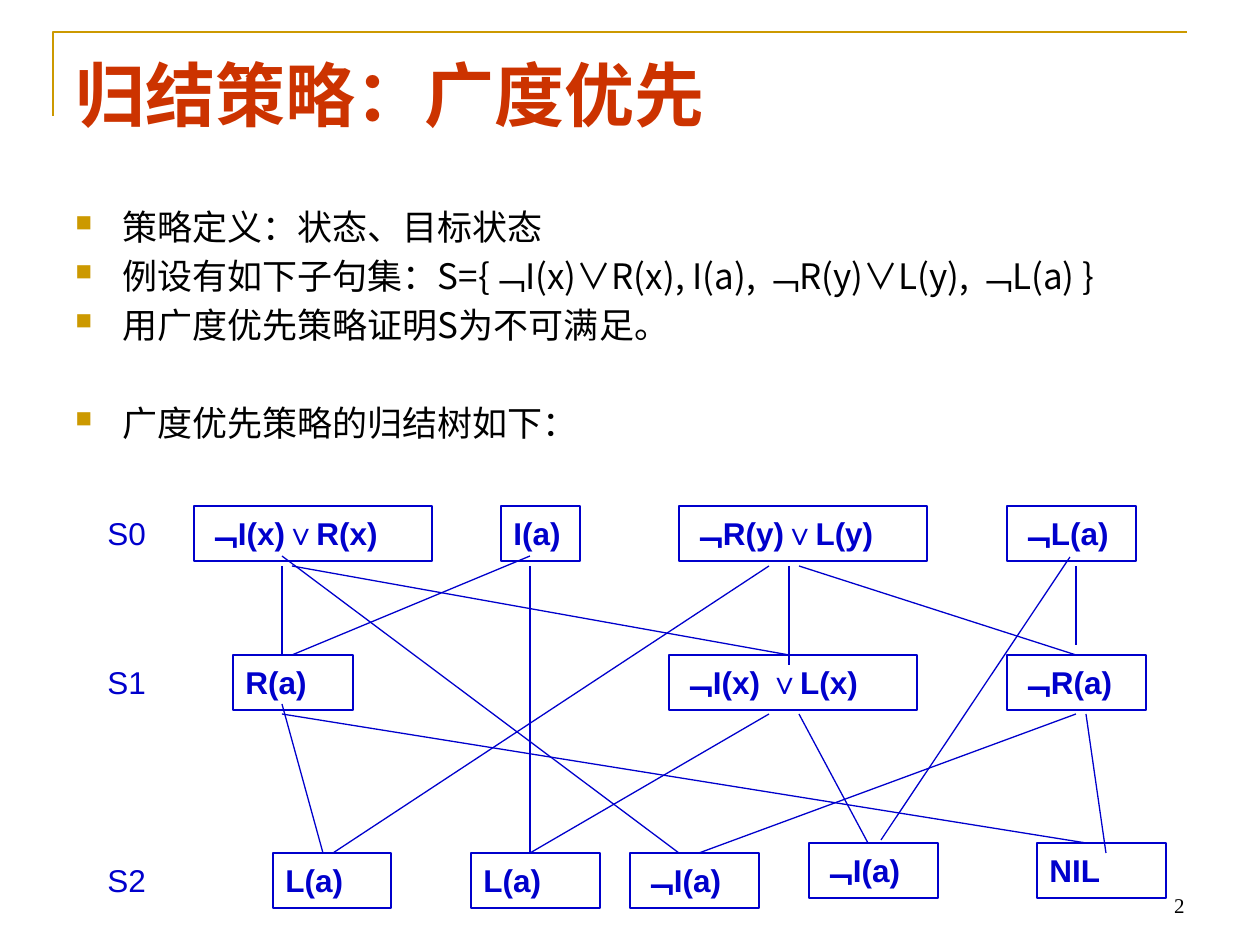
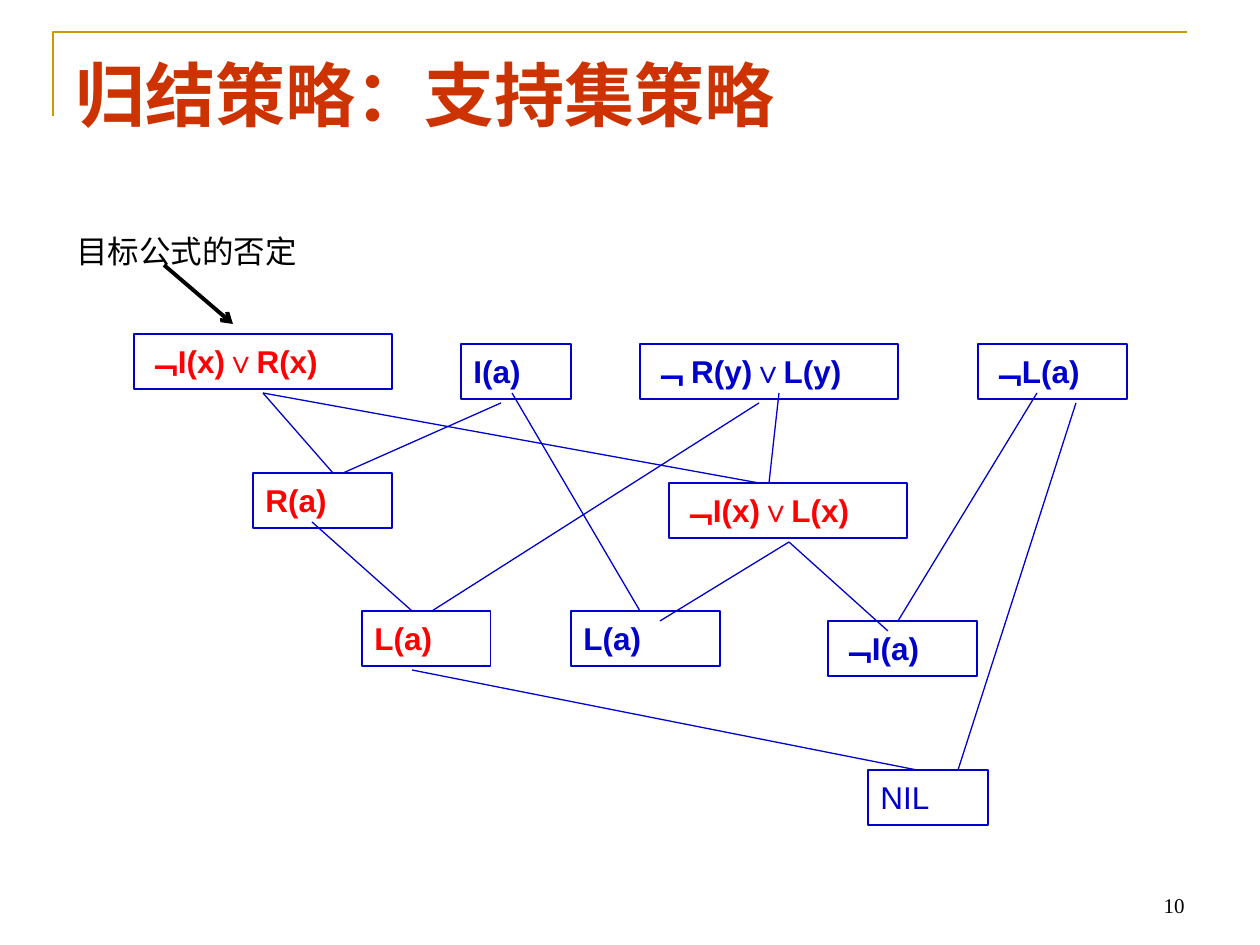
"""Two slides on resolution strategies: breadth-first and set of support."""
from dataclasses import dataclass

from lxml import etree
from pptx import Presentation
from pptx.dml.color import RGBColor
from pptx.enum.shapes import MSO_CONNECTOR, MSO_SHAPE
from pptx.enum.text import MSO_ANCHOR, PP_ALIGN
from pptx.oxml.ns import qn
from pptx.util import Pt

TOP, MIDDLE, BOTTOM = MSO_ANCHOR.TOP, MSO_ANCHOR.MIDDLE, MSO_ANCHOR.BOTTOM
LEFT, RIGHT = PP_ALIGN.LEFT, PP_ALIGN.RIGHT
RECTANGLE, STRAIGHT = MSO_SHAPE.RECTANGLE, MSO_CONNECTOR.STRAIGHT

EMU_PER_PIXEL = 914400 / 126
BLACK, BLUE, RED = "000000", "0000CC", "FF0000"
GOLD, TITLE_RED = "CC9900", "CC3300"
LATIN, CJK, SERIF = "Arial", "Noto Sans CJK SC", "Times New Roman"
CLAUSE_HEIGHT = 55
BULLET_INDENT = 47


@dataclass(frozen=True)
class Style:
    """Look of one kind of text; line is the exact line pitch in points."""
    size: int
    color: str
    font: str = LATIN
    bold: bool = False
    line: int = 21
    align: int = LEFT
    anchor: int = MIDDLE


@dataclass(frozen=True)
class Clause:
    """A boxed clause of the resolution tree."""
    text: str
    left: int
    top: int
    width: int
    color: str = BLUE
    bold: bool = True


@dataclass(frozen=True)
class Edge:
    """A straight line between two points."""
    x1: int
    y1: int
    x2: int
    y2: int


TITLE = Style(40, TITLE_RED, CJK, True, 52, anchor=TOP)
BODY = Style(20, BLACK, CJK, line=28, anchor=TOP)
PAGE_NUMBER = Style(12, BLACK, SERIF, line=14, align=RIGHT, anchor=BOTTOM)
LEVEL = Style(18, BLUE)
REMARK = Style(18, BLACK)


def px(pixels):
    """Turn pixels into EMU."""
    return round(pixels * EMU_PER_PIXEL)


def rgb(color):
    """Turn a hex string into a colour."""
    return RGBColor.from_string(color)


def add_run(paragraph, text, style):
    """Add one styled run, with the CJK font for East Asian characters."""
    run = paragraph.add_run()
    run.text = text
    font = run.font
    font.size, font.bold, font.name = Pt(style.size), style.bold, style.font
    font.color.rgb = rgb(style.color)
    east_asian = etree.SubElement(run._r.get_or_add_rPr(), qn("a:ea"))
    east_asian.set("typeface", CJK)


def write(shape, lines, style, wrap=True):
    """Fill a shape with one paragraph per line and return the paragraphs."""
    frame = shape.text_frame
    frame.word_wrap = wrap
    frame.vertical_anchor = style.anchor
    for _ in lines[1:]:
        frame.add_paragraph()
    for paragraph, text in zip(frame.paragraphs, lines):
        paragraph.alignment = style.align
        paragraph.line_spacing = Pt(style.line)
        add_run(paragraph, text, style)
    return frame.paragraphs


def add_text(slide, lines, left, top, width, height, style, wrap=True):
    """Add a text box and return its paragraphs."""
    box = slide.shapes.add_textbox(px(left), px(top), px(width), px(height))
    return write(box, lines, style, wrap)


def add_bullet(paragraph):
    """Give a paragraph the small gold square and a hanging indent."""
    properties = paragraph._p.get_or_add_pPr()
    properties.set("marL", str(px(BULLET_INDENT)))
    properties.set("indent", str(-px(BULLET_INDENT)))
    color = etree.SubElement(properties, qn("a:buClr"))
    etree.SubElement(color, qn("a:srgbClr")).set("val", GOLD)
    etree.SubElement(properties, qn("a:buSzPct")).set("val", "65000")
    etree.SubElement(properties, qn("a:buChar")).set("char", "■")


def add_clause(slide, clause):
    """Draw one boxed clause."""
    box = slide.shapes.add_shape(RECTANGLE, px(clause.left), px(clause.top),
                                 px(clause.width), px(CLAUSE_HEIGHT))
    box.shadow.inherit = False
    box.fill.background()
    box.line.color.rgb = rgb(BLUE)
    box.line.width = Pt(0.75)
    write(box, [clause.text], Style(18, clause.color, bold=clause.bold))


def add_edge(slide, edge, color=BLUE, width=0.75, arrow=False):
    """Draw one line, with an arrowhead at its end if asked."""
    line = slide.shapes.add_connector(STRAIGHT, px(edge.x1), px(edge.y1),
                                      px(edge.x2), px(edge.y2))
    line.line.color.rgb = rgb(color)
    line.line.width = Pt(width)
    if arrow:
        etree.SubElement(line.line._get_or_add_ln(), qn("a:tailEnd")).set("type", "arrow")
    etree.SubElement(line._element.spPr, qn("a:effectLst"))


def add_tree(slide, clauses, edges):
    """Draw the clauses and the edges between them."""
    for clause in clauses:
        add_clause(slide, clause)
    for edge in edges:
        add_edge(slide, edge)


def start_slide(deck, title, number):
    """Add a slide with the gold corner rule, title and page number."""
    slide = deck.slides.add_slide(deck.slide_layouts[6])
    builder = slide.shapes.build_freeform(53, 116, scale=EMU_PER_PIXEL)
    builder.add_line_segments([(53, 32), (1187, 32)], close=False)
    corner = builder.convert_to_shape()
    corner.shadow.inherit = False
    corner.fill.background()
    corner.line.color.rgb = rgb(GOLD)
    corner.line.width = Pt(1.5)
    add_text(slide, [title], 63, 38, 1134, 157, TITLE)
    add_text(slide, [str(number)], 903, 861, 294, 63, PAGE_NUMBER)
    return slide


def build_breadth_first(deck):
    """Slide with the definition and the breadth-first tree."""
    slide = start_slide(deck, "归结策略：广度优先", 2)
    points = add_text(slide, [
        "策略定义：状态、目标状态",
        "例设有如下子句集：S={﹁I(x)∨R(x), I(a), ﹁R(y)∨L(y), ﹁L(a) }",
        "用广度优先策略证明S为不可满足。",
        "广度优先策略的归结树如下：",
    ], 63, 192, 1134, 649, BODY)
    points[-1].space_before = Pt(BODY.line)
    for point in points:
        add_bullet(point)

    s0, s1, s2 = 506, 655, 853
    s2_raised = s2 - 10
    for level, top in enumerate((s0, s1, s2)):
        add_text(slide, [f"S{level}"], 95, top, 80, CLAUSE_HEIGHT, LEVEL)
    clauses = [
        Clause("﹁I(x)∨R(x)", 194, s0, 238),
        Clause("I(a)", 501, s0, 79),
        Clause("﹁R(y)∨L(y)", 679, s0, 248),
        Clause("﹁L(a)", 1007, s0, 129),
        Clause("R(a)", 233, s1, 120),
        Clause("﹁I(x) ∨L(x)", 669, s1, 248),
        Clause("﹁R(a)", 1007, s1, 139),
        Clause("L(a)", 273, s2, 118),
        Clause("L(a)", 471, s2, 129),
        Clause("﹁I(a)", 630, s2, 129),
        Clause("﹁I(a)", 809, s2_raised, 129),
        Clause("NIL", 1037, s2_raised, 129),
    ]
    below_s0, below_s1 = s0 + 60, s1 + 59
    edges = [
        Edge(282, below_s0, 282, s1),
        Edge(530, 556, 292, s1),
        Edge(292, below_s0, 789, s1),
        Edge(789, below_s0, 789, 665),
        Edge(799, below_s0, 1076, s1),
        Edge(1076, below_s0, 1076, 645),
        Edge(282, 704, 323, s2),
        Edge(769, below_s0, 333, s2),
        Edge(530, below_s0, 530, s2),
        Edge(769, below_s1, 530, s2),
        Edge(282, 556, 679, s2),
        Edge(1076, below_s1, 699, s2),
        Edge(799, below_s1, 868, s2_raised),
        Edge(282, below_s1, 1086, s2_raised),
        Edge(1086, below_s1, 1106, s2),
        Edge(1070, 557, 881, 840),
    ]
    add_tree(slide, clauses, edges)


def build_set_of_support(deck):
    """Slide with the set-of-support tree; supported clauses are red."""
    slide = start_slide(deck, "归结策略：支持集策略", 10)
    clauses = [
        Clause("﹁I(x)∨R(x)", 134, 334, 258, RED),
        Clause("I(a)", 461, 344, 110),
        Clause("﹁ R(y)∨L(y)", 640, 344, 258),
        Clause("﹁L(a)", 978, 344, 149),
        Clause("R(a)", 253, 473, 139, RED),
        Clause("﹁I(x)∨L(x)", 669, 483, 238, RED),
        Clause("L(a)", 362, 611, 129, RED),
        Clause("L(a)", 571, 611, 149),
        Clause("﹁I(a)", 828, 621, 149),
        Clause("NIL", 868, 770, 120, bold=False),
    ]
    edges = [
        Edge(263, 393, 333, 473),
        Edge(501, 403, 343, 473),
        Edge(263, 393, 759, 483),
        Edge(779, 393, 769, 483),
        Edge(312, 522, 412, 611),
        Edge(759, 403, 432, 611),
        Edge(512, 393, 640, 611),
        Edge(789, 542, 660, 621),
        Edge(789, 542, 888, 631),
        Edge(1037, 393, 898, 621),
        Edge(412, 670, 917, 770),
        Edge(1076, 403, 958, 770),
    ]
    add_tree(slide, clauses, edges)
    add_text(slide, ["目标公式的否定"], 64, 224, 273, CLAUSE_HEIGHT, REMARK, wrap=False)
    add_edge(slide, Edge(164, 265, 233, 324), BLACK, 2.25, arrow=True)


def main():
    """Build and save the deck."""
    deck = Presentation()
    deck.slide_width, deck.slide_height = px(1260), px(945)
    build_breadth_first(deck)
    build_set_of_support(deck)
    deck.save("out.pptx")


main()
